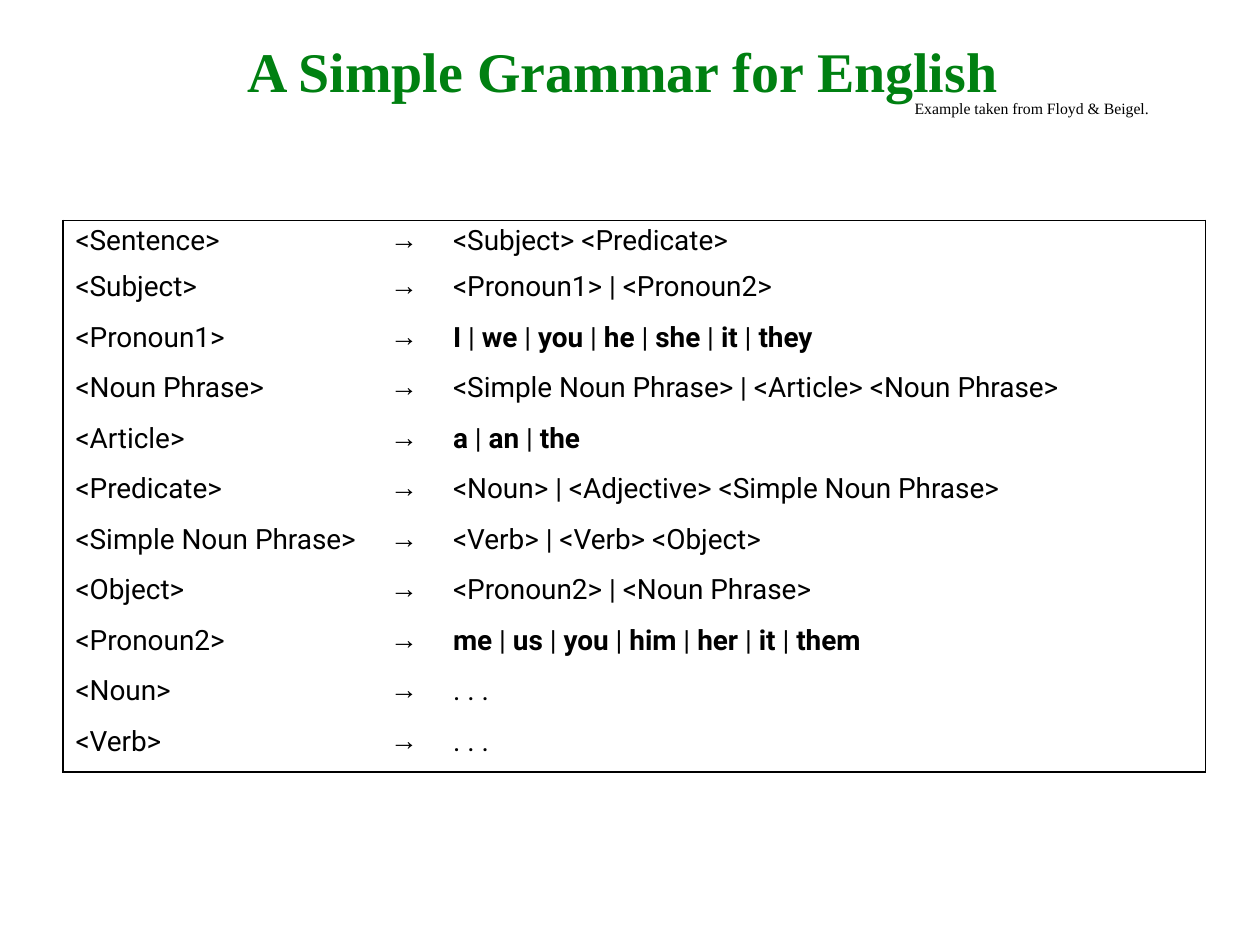
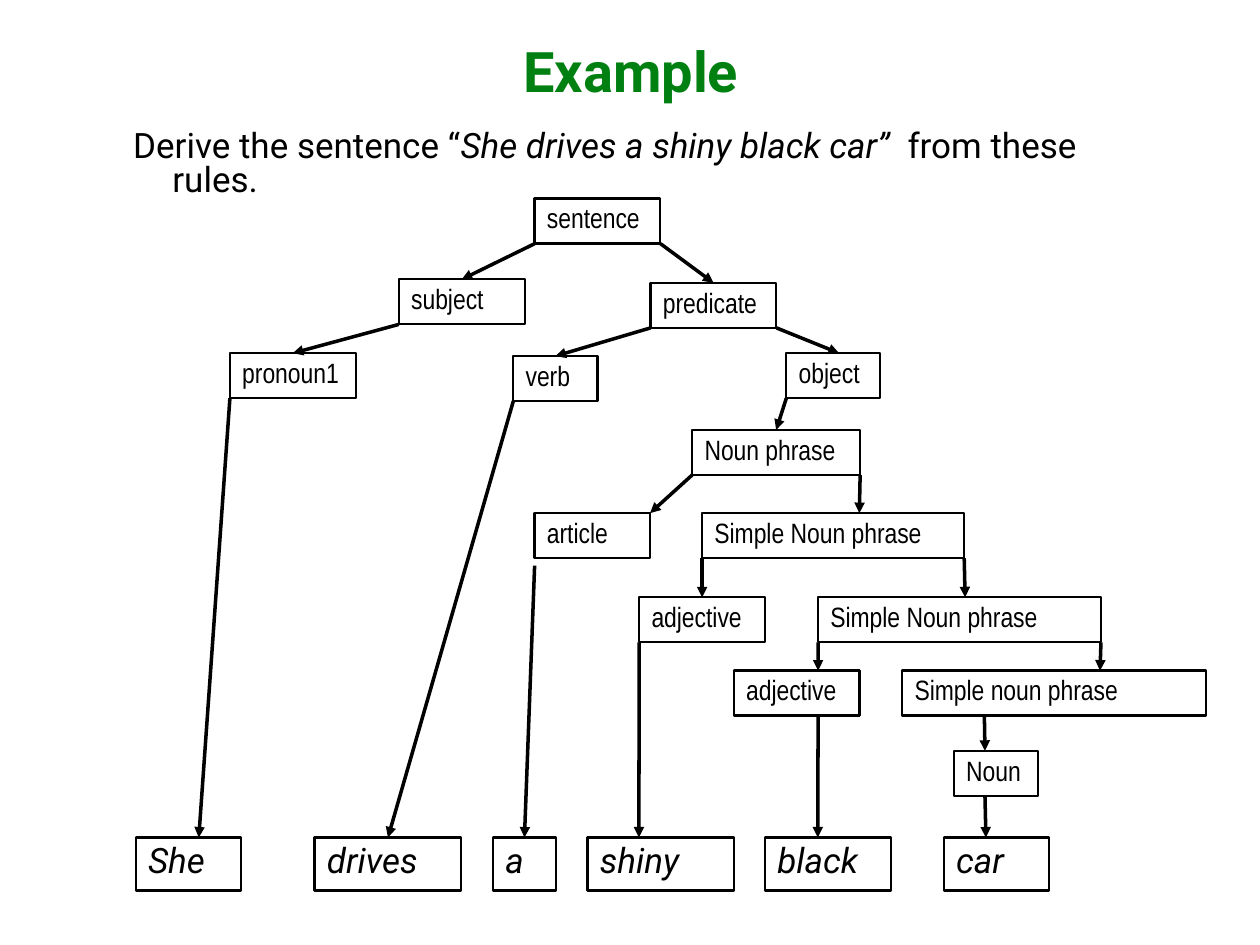
from lxml.etree import SubElement
from pptx import Presentation
from pptx.dml.color import RGBColor
from pptx.enum.shapes import MSO_CONNECTOR as Connector, MSO_SHAPE as Shape
from pptx.enum.text import MSO_ANCHOR as Anchor, PP_ALIGN as Align
from pptx.oxml.ns import qn
from pptx.util import Cm, Pt

GREEN = RGBColor(0x00, 0x80, 0x11)
BLACK = RGBColor(0x00, 0x00, 0x00)
SANS, NARROW, SERIF, SYMBOL = "Roboto", "Arial Narrow", "Times New Roman", "Arial"
ARROW = "→"

RULES = [
    ("<Sentence>", "<Subject> <Predicate>"),
    ("<Subject>", "<Pronoun1> | <Pronoun2>"),
    ("<Pronoun1>", "I | we | you | he | she | it | they"),
    ("<Noun Phrase>", "<Simple Noun Phrase> | <Article> <Noun Phrase>"),
    ("<Article>", "a | an | the"),
    ("<Predicate>", "<Noun> | <Adjective> <Simple Noun Phrase>"),
    ("<Simple Noun Phrase>", "<Verb> | <Verb> <Object>"),
    ("<Object>", "<Pronoun2> | <Noun Phrase>"),
    ("<Pronoun2>", "me | us | you | him | her | it | them"),
    ("<Noun>", ". . ."),
    ("<Verb>", ". . ."),
]

# key: text, left, top, width in cm within the tree
CATEGORIES = {
    "sentence": ("sentence", 8.05, 0, 2.54),
    "subject": ("subject", 5.31, 1.63, 2.54),
    "predicate": ("predicate", 10.39, 1.7, 2.54),
    "pronoun": ("pronoun1", 1.9, 3.12, 2.54),
    "verb": ("verb", 7.62, 3.18, 1.7),
    "object": ("object", 13.13, 3.12, 1.9),
    "noun phrase": ("Noun phrase", 11.23, 4.67, 3.39),
    "article": ("article", 8.05, 6.35, 2.33),
    "simple 1": ("Simple Noun phrase", 11.43, 6.35, 5.29),
    "adjective 1": ("adjective", 10.16, 8.05, 2.54),
    "simple 2": ("Simple Noun phrase", 13.77, 8.05, 5.71),
    "adjective 2": ("adjective", 12.07, 9.53, 2.54),
    "simple 3": ("Simple noun phrase", 15.47, 9.53, 6.14),
    "noun": ("Noun", 16.51, 11.15, 1.7),
}
WORDS_TOP = 12.9
# word: left, width in cm within the tree
WORDS = {
    "She": (0, 2.12),
    "drives": (3.61, 2.96),
    "a": (7.21, 1.27),
    "shiny": (9.12, 2.96),
    "black": (12.7, 2.54),
    "car": (16.31, 2.12),
}
# parent, child, share of the parent's width, share of the child's width, gap in cm
BRANCHES = [
    ("sentence", "subject", 0, 0.5),
    ("sentence", "predicate", 1, 0.5),
    ("subject", "pronoun", 0, 0.5),
    ("predicate", "verb", 0, 0.5),
    ("predicate", "object", 1, 0.56),
    ("object", "noun phrase", 0, 0.5),
    ("noun phrase", "article", 0, 1),
    ("noun phrase", "simple 1", 1, 0.6),
    ("simple 1", "adjective 1", 0, 0.5),
    ("simple 1", "simple 2", 1, 0.52),
    ("simple 2", "adjective 2", 0, 0.67),
    ("simple 2", "simple 3", 1, 0.65),
    ("simple 3", "noun", 0.27, 0.37),
    ("pronoun", "She", 0, 0.6),
    ("verb", "drives", 0, 0.5),
    ("article", "a", 0, 0.5, 0.15),
    ("adjective 1", "shiny", 0, 0.35),
    ("adjective 2", "black", 0.67, 0.42),
    ("noun", "car", 0.37, 0.4),
]


def style(para, font, size, color=BLACK, spacing=0.9, bold=False, italic=None):
    para.line_spacing = spacing
    para.font.name = font
    para.font.size = Pt(size)
    para.font.color.rgb = color
    para.font.bold = bold
    para.font.italic = italic


def add_span(para, text):
    span = para.add_run()
    span.text = text
    return span


def add_text(page, left, top, width, height):
    box = page.shapes.add_textbox(left, top, width, height)
    box.text_frame.word_wrap = True
    return box.text_frame


def add_title(page, text, font, left, width):
    frame = add_text(page, left, Cm(0.84), width, Cm(1.32))
    frame.word_wrap = False
    frame.margin_left = frame.margin_right = Cm(0.18)
    frame.margin_top = frame.margin_bottom = Cm(0.08)
    para = frame.paragraphs[0]
    para.text = text
    para.alignment = Align.CENTER
    style(para, font, 32, GREEN, 0.87, bold=True)


def set_borders(cell, edges):
    """Draw black lines on the named edges (L, R, T, B) and none on the others."""
    props = cell._tc.get_or_add_tcPr()
    for edge in "LRTB":
        line = SubElement(props, qn(f"a:ln{edge}"), w=str(Pt(1)))
        if edge in edges:
            fill = SubElement(line, qn("a:solidFill"))
            SubElement(fill, qn("a:srgbClr"), val=str(BLACK))
        else:
            SubElement(line, qn("a:noFill"))


def write_production(para, production):
    """Write the alternatives of a rule, with plain words in bold."""
    for index, choice in enumerate(production.split(" | ")):
        if index:
            add_span(para, " | ")
        span = add_span(para, choice)
        if choice.isalpha():
            span.font.bold = True


def add_grammar(page, left, top, width, height):
    table = page.shapes.add_table(len(RULES), 3, left, top, width, height).table
    table.first_row = table.horz_banding = False
    head, arrow = Cm(6.35), Cm(1.27)
    for column, size in zip(table.columns, (head, arrow, width - head - arrow)):
        column.width = size
    last = len(RULES) - 1
    for index, (name, production) in enumerate(RULES):
        table.rows[index].height = Cm(1.02 if index else 0.94)
        rim = ("T" if index == 0 else "") + ("B" if index == last else "")
        columns = ((name, SANS, "L"), (ARROW, SYMBOL, ""), (production, SANS, "R"))
        for position, (text, font, side) in enumerate(columns):
            cell = table.cell(index, position)
            set_borders(cell, rim + side)
            cell.fill.background()
            para = cell.text_frame.paragraphs[0]
            write_production(para, text)
            style(para, font, 16)


def add_node(page, text, left, top, width, height, **look):
    node = page.shapes.add_shape(Shape.RECTANGLE, left, top, width, height)
    node.shadow.inherit = False
    node.fill.background()
    node.line.color.rgb = BLACK
    node.line.width = Pt(1.25)
    frame = node.text_frame
    frame.vertical_anchor = Anchor.TOP
    para = frame.paragraphs[0]
    para.text = text
    para.alignment = Align.LEFT
    style(para, **look)
    return node


def add_branch(page, parent, child, start, end, gap=0):
    line = page.shapes.add_connector(
        Connector.STRAIGHT,
        parent.left + round(parent.width * start),
        parent.top + parent.height + Cm(gap),
        child.left + round(child.width * end),
        child.top,
    )
    if end == 0.5:
        line.end_connect(child, 0)
    line.line.color.rgb = BLACK
    line.line.width = Pt(2)
    SubElement(line.line._get_or_add_ln(), qn("a:tailEnd"), type="triangle")
    SubElement(line._element.spPr, qn("a:effectLst"))


def add_tree(page, left, top):
    nodes = {}
    for key, (text, x, y, width) in CATEGORIES.items():
        nodes[key] = add_node(page, text, left + Cm(x), top + Cm(y), Cm(width),
                              Cm(0.91), font=NARROW, size=16)
    for word, (x, width) in WORDS.items():
        nodes[word] = add_node(page, word, left + Cm(x), top + Cm(WORDS_TOP), Cm(width),
                               Cm(1.07), font=SANS, size=20, italic=True)
    for parent, child, *shares in BRANCHES:
        add_branch(page, nodes[parent], nodes[child], *shares)


def add_task(page, left, top, width, height):
    para = add_text(page, left, top, width, height).paragraphs[0]
    props = para._p.get_or_add_pPr()
    props.set("marL", str(Cm(0.79)))
    props.set("indent", str(-Cm(0.79)))
    add_span(para, "Derive the sentence “")
    add_span(para, "She drives a shiny black car” ").font.italic = True
    add_span(para, " from these rules.")
    style(para, SANS, 20, spacing=0.8)


def build_grammar_page(page):
    add_title(page, "A Simple Grammar for English", SERIF, Cm(4.77), Cm(15.6))
    credit = add_text(page, Cm(18.21), Cm(1.91), Cm(6.15), Cm(0.58)).paragraphs[0]
    credit.text = "Example taken from Floyd & Beigel."
    style(credit, SERIF, 9)
    add_grammar(page, Cm(1.27), Cm(4.45), Cm(23.06), Cm(11.14))


def build_example_page(page):
    add_title(page, "Example", SANS, Cm(10.13), Cm(5.21))
    add_task(page, Cm(2.44), Cm(2.54), Cm(20.52), Cm(1.7))
    add_tree(page, Cm(2.74), Cm(4.01))


def main():
    deck = Presentation()
    deck.slide_width, deck.slide_height = Cm(25.43), Cm(19.08)
    for build in (build_grammar_page, build_example_page):
        build(deck.slides.add_slide(deck.slide_layouts[6]))
    deck.save("out.pptx")


if __name__ == "__main__":
    main()
